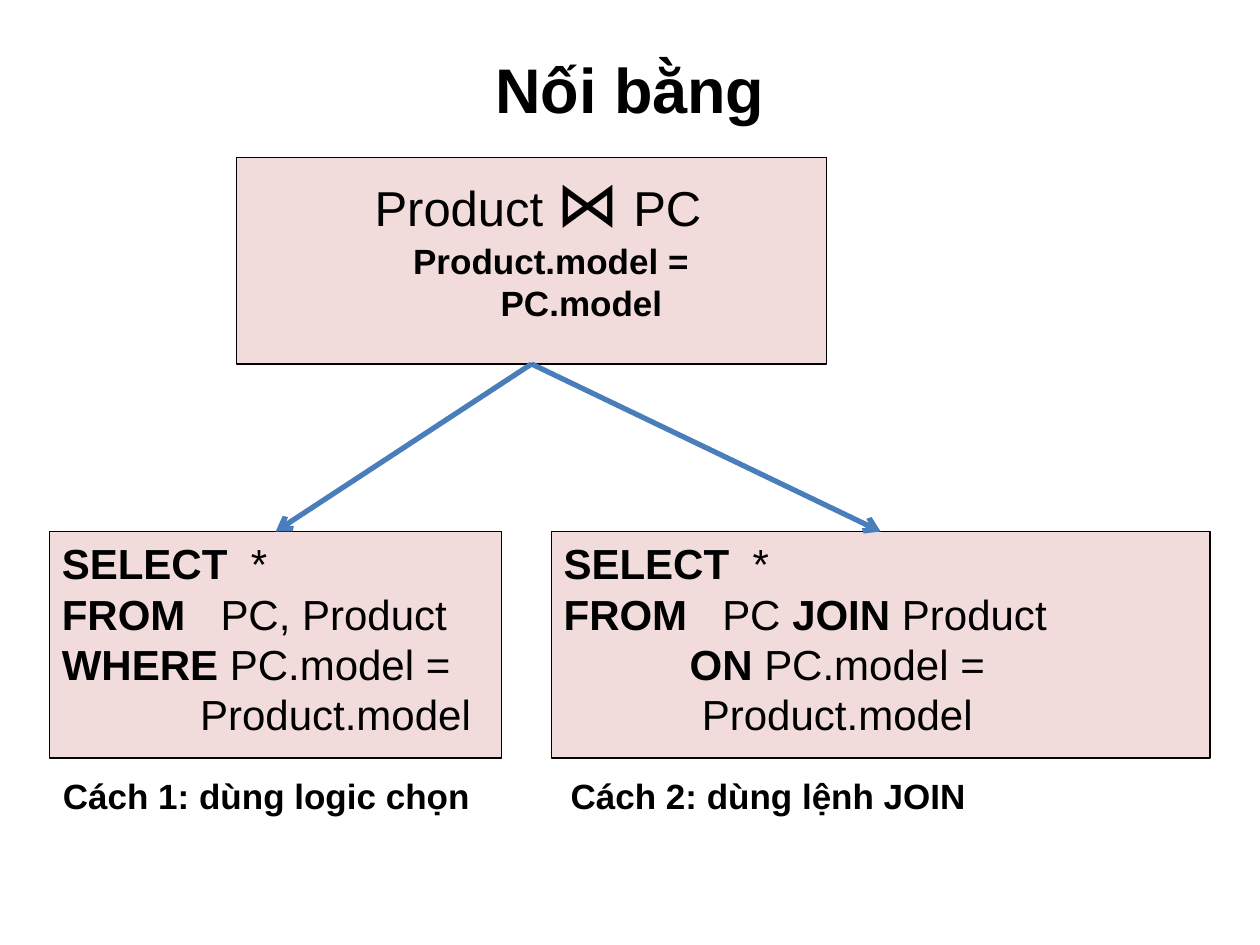
from lxml import etree
from pptx import Presentation
from pptx.dml.color import RGBColor
from pptx.enum import shapes, text
from pptx.oxml.ns import qn
from pptx.util import Pt

BLACK = RGBColor(0x00, 0x00, 0x00)
PINK = RGBColor(0xF2, 0xDC, 0xDB)
BLUE = RGBColor(0x4A, 0x7E, 0xBB)


def style(paragraph, size, bold=False):
    font = paragraph.font
    font.name, font.size, font.bold = "Arial", Pt(size), bold
    font.color.rgb = BLACK


def add_panel(left, top, width, height, lines):
    """Add a pink box; each line is (indent, size, runs), each run (text, bold, size or None)."""
    panel = slide.shapes.add_shape(
        shapes.MSO_SHAPE.RECTANGLE, Pt(left), Pt(top), Pt(width), Pt(height))
    panel.shadow.inherit = False
    panel.fill.solid()
    panel.fill.fore_color.rgb = PINK
    panel.line.color.rgb = BLACK
    panel.line.width = Pt(0.75)
    frame = panel.text_frame
    frame.word_wrap = True
    frame.vertical_anchor = text.MSO_ANCHOR.TOP
    for i, (indent, size, runs) in enumerate(lines):
        line = frame.paragraphs[0] if i == 0 else frame.add_paragraph()
        line.alignment = text.PP_ALIGN.LEFT
        properties = line._p.get_or_add_pPr()
        properties.set("marL", str(Pt(indent)))
        properties.set("indent", "0")
        style(line, size)
        for words, bold, run_size in runs:
            run = line.add_run()
            run.text = words
            run.font.bold = bold
            if run_size:
                run.font.size = Pt(run_size)
    return panel


prs = Presentation()
prs.slide_width, prs.slide_height = Pt(720), Pt(540)
slide = prs.slides.add_slide(prs.slide_layouts[5])

title = slide.shapes.title
title.left, title.top, title.width, title.height = Pt(36), Pt(16.5), Pt(648), Pt(67.5)
title.text_frame.text = "Nối bằng"
title.text_frame.vertical_anchor = text.MSO_ANCHOR.MIDDLE
title.text_frame.paragraphs[0].alignment = text.PP_ALIGN.CENTER
style(title.text_frame.paragraphs[0], 36, True)

algebra = add_panel(135, 90, 337.5, 118, [
    (72, 28, [("Product ", False, None), ("⋈", False, 36), (" PC", False, None)]),
    (94, 20, [("Product.model =", True, None)]),
    (144, 20, [("PC.model", True, None)]),
])

select = (0, 24, [("SELECT", True, None), ("  *", False, None)])
product_model = (79, 24, [("Product.model", False, None)])
solutions = [
    (28.25, 258.5, "Cách 1: dùng logic chọn", [
        (0, 24, [("FROM   ", True, None), ("PC, Product", False, None)]),
        (0, 24, [("WHERE", True, None), (" PC.model =", False, None)]),
    ]),
    (315, 376.5, "Cách 2: dùng lệnh JOIN", [
        (0, 24, [("FROM   ", True, None), ("PC ", False, None),
                 ("JOIN ", True, None), ("Product", False, None)]),
        (72, 24, [("ON", True, None), (" PC.model =", False, None)]),
    ]),
]
for left, width, caption, clauses in solutions:
    query = add_panel(left, 303.75, width, 129.5, [select, *clauses, product_model])

    arrow = slide.shapes.add_connector(shapes.MSO_CONNECTOR.STRAIGHT, 0, 0, 0, 0)
    arrow.begin_connect(algebra, 2)
    arrow.end_connect(query, 0)
    arrow.line.color.rgb = BLUE
    arrow.line.width = Pt(3)
    etree.SubElement(arrow.line._get_or_add_ln(), qn("a:tailEnd"), type="arrow")
    etree.SubElement(arrow._element.spPr, qn("a:effectLst"))

    label = slide.shapes.add_textbox(Pt(left), Pt(438.75), Pt(248), Pt(31.5)).text_frame
    label.word_wrap = True
    label.text = caption
    label.paragraphs[0].alignment = text.PP_ALIGN.CENTER
    style(label.paragraphs[0], 20, True)

prs.save("out.pptx")
